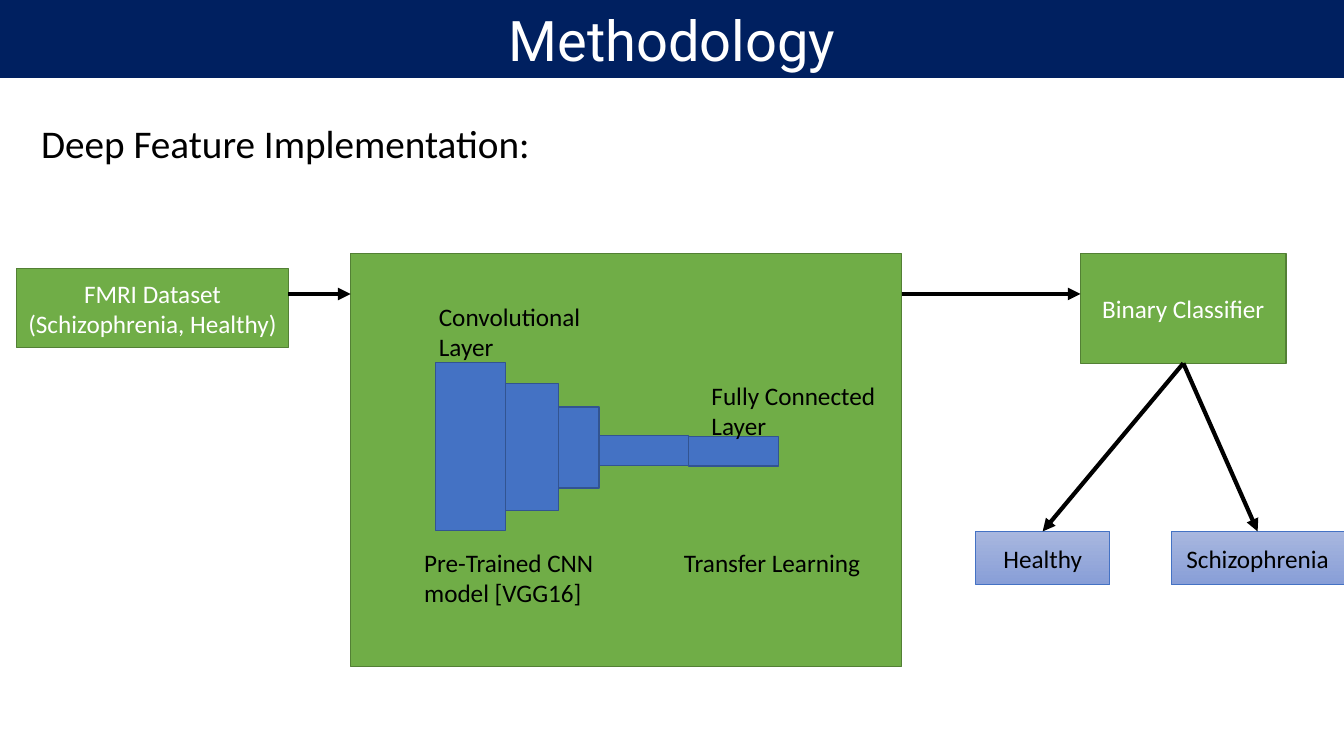
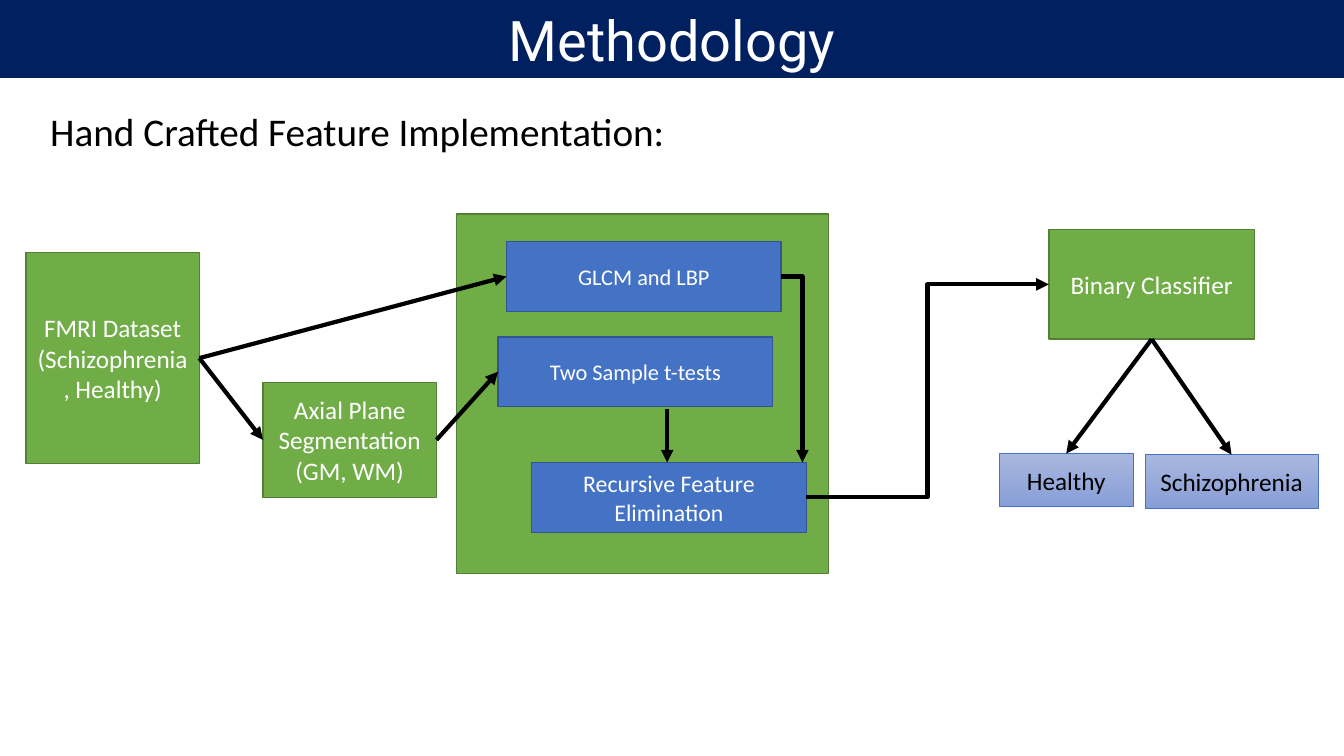
from dataclasses import dataclass

import pptx
import pptx.dml.color
import pptx.enum.shapes
import pptx.enum.text
import pptx.oxml.ns
import pptx.presentation
import pptx.slide
import pptx.text.text
import pptx.util
from lxml import etree

Pt = pptx.util.Pt
Point = tuple[float, float]


@dataclass(frozen=True)
class Theme:
    white: str = "FFFFFF"
    black: str = "000000"
    navy: str = "002060"
    green: str = "70AD47"
    green_edge: str = "538035"
    blue: str = "4472C4"
    blue_edge: str = "325491"
    pale_top: str = "A8B7DF"
    pale_bottom: str = "889ED7"
    title_font: str = "Roboto"
    body_font: str = "Calibri"
    title_size: float = 40
    heading_size: float = 28
    body_size: float = 18
    step_size: float = 16
    wide_step_size: float = 17
    arrow_width: float = 3


THEME = Theme()


@dataclass(frozen=True)
class Style:
    fills: tuple[str, ...]
    edge: str | None
    edge_width: float = 1
    color: str = THEME.white
    size: float = THEME.body_size
    font: str = THEME.body_font


STAGE = Style((THEME.green,), THEME.green_edge)
STEP = Style((THEME.blue,), THEME.blue_edge, size=THEME.step_size)
WIDE_STEP = Style((THEME.blue,), THEME.blue_edge, size=THEME.wide_step_size)
OUTCOME = Style((THEME.pale_top, THEME.pale_bottom), THEME.blue, 0.5, THEME.black)
BAND = Style((THEME.navy,), None, size=THEME.title_size, font=THEME.title_font)


@dataclass(frozen=True)
class Box:
    left: float
    top: float
    width: float
    height: float
    style: Style
    lines: tuple[str, ...] = ()

    @property
    def right_middle(self) -> Point:
        return self.left + self.width, self.top + self.height / 2

    @property
    def left_middle(self) -> Point:
        return self.left, self.top + self.height / 2

    @property
    def top_center(self) -> Point:
        return self.left + self.width / 2, self.top

    @property
    def bottom_center(self) -> Point:
        return self.left + self.width / 2, self.top + self.height


@dataclass(frozen=True)
class Label:
    left: float
    top: float
    width: float
    height: float
    text: str
    size: float = THEME.body_size


def rgb(value: str) -> pptx.dml.color.RGBColor:
    return pptx.dml.color.RGBColor.from_string(value)


def add_run(paragraph: pptx.text.text._Paragraph, text: str, size: float, font: str, color: str) -> None:
    run = paragraph.add_run()
    run.text = text
    run.font.size = Pt(size)
    run.font.name = font
    run.font.color.rgb = rgb(color)


def draw_box(slide: pptx.slide.Slide, box: Box) -> None:
    style = box.style
    shape = slide.shapes.add_shape(
        pptx.enum.shapes.MSO_SHAPE.RECTANGLE, Pt(box.left), Pt(box.top), Pt(box.width), Pt(box.height)
    )
    shape.shadow.inherit = False
    if len(style.fills) == 1:
        shape.fill.solid()
        shape.fill.fore_color.rgb = rgb(style.fills[0])
    else:
        shape.fill.gradient()
        shape.fill.gradient_angle = 270
        for stop, color in zip(shape.fill.gradient_stops, style.fills):
            stop.color.rgb = rgb(color)
    if style.edge:
        shape.line.color.rgb = rgb(style.edge)
        shape.line.width = Pt(style.edge_width)
    else:
        shape.line.fill.background()
    frame = shape.text_frame
    frame.word_wrap = True
    frame.vertical_anchor = pptx.enum.text.MSO_ANCHOR.MIDDLE
    for index, line in enumerate(box.lines):
        paragraph = frame.add_paragraph() if index else frame.paragraphs[0]
        paragraph.alignment = pptx.enum.text.PP_ALIGN.CENTER
        add_run(paragraph, line, style.size, style.font, style.color)


def draw_label(slide: pptx.slide.Slide, label: Label) -> None:
    text_box = slide.shapes.add_textbox(Pt(label.left), Pt(label.top), Pt(label.width), Pt(label.height))
    text_box.text_frame.word_wrap = True
    add_run(text_box.text_frame.paragraphs[0], label.text, label.size, THEME.body_font, THEME.black)


def draw_arrow(slide: pptx.slide.Slide, start: Point, end: Point, bends: int = 0) -> None:
    kinds = pptx.enum.shapes.MSO_CONNECTOR
    connector = slide.shapes.add_connector(
        kinds.ELBOW if bends else kinds.STRAIGHT, Pt(start[0]), Pt(start[1]), Pt(end[0]), Pt(end[1])
    )
    connector.line.color.rgb = rgb(THEME.black)
    connector.line.width = Pt(THEME.arrow_width)
    qn = pptx.oxml.ns.qn
    properties = connector._element.spPr
    if bends == 1:
        properties.find(qn("a:prstGeom")).set("prst", "bentConnector2")
    etree.SubElement(properties.find(qn("a:ln")), qn("a:tailEnd"), type="triangle")
    etree.SubElement(properties, qn("a:effectLst"))


def add_methodology_slide(presentation: pptx.presentation.Presentation, heading: Label) -> pptx.slide.Slide:
    slide = presentation.slides.add_slide(presentation.slide_layouts[6])
    draw_box(slide, Box(0, 0, 960, 55.6, BAND, ("Methodology",)))
    draw_label(slide, heading)
    return slide


def draw_classification(slide: pptx.slide.Slide, classifier: Point, healthy: Point, schizophrenia: Point) -> Box:
    source = Box(*classifier, 146.9, 78.3, STAGE, ("Binary Classifier",))
    outcomes = (
        Box(*healthy, 95.6, 38, OUTCOME, ("Healthy",)),
        Box(*schizophrenia, 123.4, 38, OUTCOME, ("Schizophrenia",)),
    )
    draw_box(slide, source)
    for outcome in outcomes:
        draw_box(slide, outcome)
        draw_arrow(slide, source.bottom_center, outcome.top_center)
    return source


def build_deep_features(presentation: pptx.presentation.Presentation) -> None:
    heading = Label(22.3, 81.4, 500, 41, "Deep Feature Implementation:", THEME.heading_size)
    slide = add_methodology_slide(presentation, heading)
    dataset = Box(12, 192, 194, 56.2, STAGE, ("FMRI Dataset", "(Schizophrenia, Healthy)"))
    network = Box(250.4, 181.2, 393.6, 295, STAGE)
    draw_box(slide, dataset)
    draw_box(slide, network)
    classifier = draw_classification(slide, (771.8, 181.2), (697, 379.6), (836.6, 379.6))

    left = 311.0
    for top, width, height in (
        (259, 50, 120.2),
        (274, 38, 90.6),
        (290.6, 29, 58),
        (311, 64, 21.4),
        (311.6, 64, 21.4),
    ):
        draw_box(slide, Box(left, top, width, height, STEP))
        left += width

    flow_height = 210
    for source, target in ((dataset, network), (network, classifier)):
        draw_arrow(slide, (source.right_middle[0], flow_height), (target.left, flow_height))
    for label in (
        Label(501.1, 267.8, 154.8, 51, "Fully Connected Layer"),
        Label(306.4, 211.4, 129.6, 51, "Convolutional Layer"),
        Label(295.9, 387.2, 151.2, 51, "Pre-Trained CNN model [VGG16]"),
        Label(481.5, 387.2, 151.2, 29, "Transfer Learning"),
    ):
        draw_label(slide, label)


def build_hand_crafted_features(presentation: pptx.presentation.Presentation) -> None:
    heading = Label(28.8, 73, 500, 41, "Hand Crafted Feature Implementation:", THEME.heading_size)
    slide = add_methodology_slide(presentation, heading)
    dataset = Box(18.6, 180.6, 123.8, 150.4, STAGE, ("FMRI Dataset", "(Schizophrenia, Healthy)"))
    segmentation = Box(187.8, 273.2, 124, 82, STAGE, ("Axial Plane Segmentation", "(GM, WM)"))
    panel = Box(326.2, 153, 265.6, 256.6, STAGE)
    texture = Box(361.8, 172.6, 196.2, 49.8, STEP, ("GLCM and LBP",))
    t_tests = Box(355.8, 240.6, 196.2, 49.8, STEP, ("Two Sample t-tests",))
    elimination = Box(379.8, 330.4, 196.2, 49.8, WIDE_STEP, ("Recursive Feature Elimination",))
    for box in (dataset, segmentation, panel, texture, t_tests, elimination):
        draw_box(slide, box)
    classifier = draw_classification(slide, (749.2, 164), (713.8, 324), (818, 324.8))

    for source, target in ((dataset, texture), (dataset, segmentation), (segmentation, t_tests)):
        draw_arrow(slide, source.right_middle, target.left_middle)
    draw_arrow(slide, (476.6, 292.3), (476.6, elimination.top))
    draw_arrow(slide, texture.right_middle, (573.2, elimination.top), bends=1)
    draw_arrow(slide, elimination.right_middle, classifier.left_middle, bends=2)


def main() -> None:
    presentation = pptx.Presentation()
    presentation.slide_width = Pt(960)
    presentation.slide_height = Pt(540)
    build_deep_features(presentation)
    build_hand_crafted_features(presentation)
    presentation.save("out.pptx")


if __name__ == "__main__":
    main()
